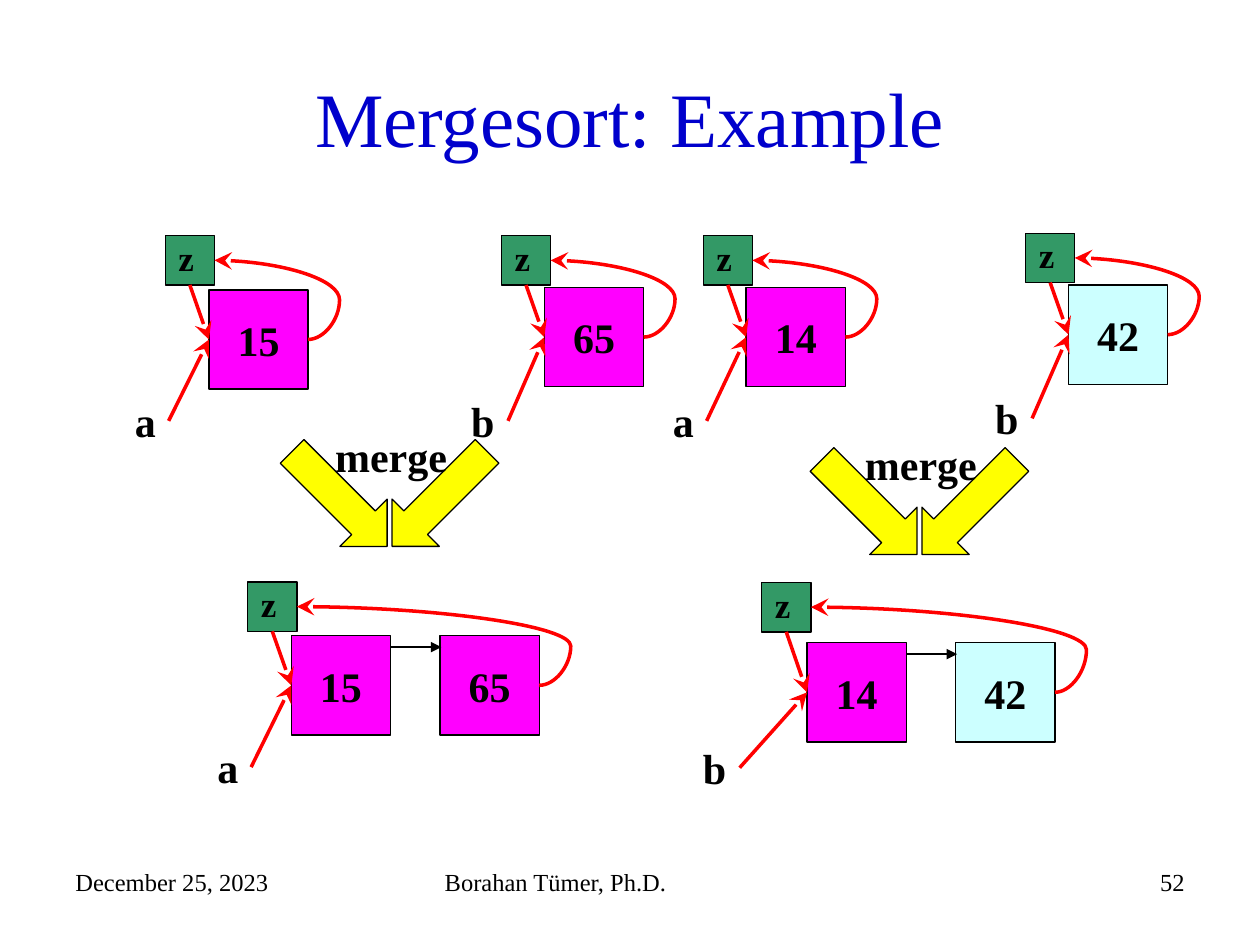
import pptx
import pptx.dml.color
import pptx.enum.shapes
import pptx.enum.text
import pptx.oxml
import pptx.oxml.ns
import pptx.util

Pt = pptx.util.Pt
RGBColor = pptx.dml.color.RGBColor
ALIGN = pptx.enum.text.PP_ALIGN
ANCHOR = pptx.enum.text.MSO_ANCHOR
SHAPE = pptx.enum.shapes.MSO_SHAPE
CONNECTOR = pptx.enum.shapes.MSO_CONNECTOR

BLACK = RGBColor(0x00, 0x00, 0x00)
BLUE = RGBColor(0x00, 0x00, 0xCC)
GREEN = RGBColor(0x33, 0x99, 0x66)
MAGENTA = RGBColor(0xFF, 0x00, 0xFF)
CYAN = RGBColor(0xCC, 0xFF, 0xFF)
YELLOW = RGBColor(0xFF, 0xFF, 0x00)
RED = RGBColor(0xFF, 0x00, 0x00)

FONT = "Times New Roman"
TOP, LEFT, BOTTOM, RIGHT = range(4)
SENTINEL_SIZE = 28.2
NODE_SIZE = 56.7
NODE_PITCH = 85
LOOP_REACH = 18


def write(shape, text, size, color=BLACK, bold=False, align=ALIGN.LEFT):
    paragraph = shape.text_frame.paragraphs[0]
    paragraph.text = text
    paragraph.alignment = align
    font = paragraph.font
    font.name, font.size, font.bold = FONT, Pt(size), bold
    font.color.rgb = color


def add_text(slide, left, top, width, height, text, size=24, bold=True,
             align=ALIGN.LEFT, wrap=False):
    box = slide.shapes.add_textbox(Pt(left), Pt(top), Pt(width), Pt(height))
    box.text_frame.word_wrap = wrap
    write(box, text, size, bold=bold, align=align)
    return box


def add_filled_shape(slide, kind, left, top, width, height, fill):
    shape = slide.shapes.add_shape(kind, Pt(left), Pt(top), Pt(width), Pt(height))
    shape.shadow.inherit = False
    shape.fill.solid()
    shape.fill.fore_color.rgb = fill
    shape.line.color.rgb = BLACK
    shape.line.width = Pt(0.75)
    return shape


def add_box(slide, left, top, side, fill, text, size):
    box = add_filled_shape(slide, SHAPE.RECTANGLE, left, top, side, side, fill)
    box.text_frame.word_wrap = False
    box.text_frame.vertical_anchor = ANCHOR.MIDDLE
    write(box, text, size, bold=True, align=ALIGN.CENTER)
    return box


def add_arrow(slide, start, end, kind=CONNECTOR.STRAIGHT, color=RED, width=2,
              head="stealth", head_size="lg"):
    arrow = slide.shapes.add_connector(kind, *start, *end)
    arrow.line.color.rgb = color
    arrow.line.width = Pt(width)
    tail = pptx.oxml.parse_xml(
        f'<a:tailEnd {pptx.oxml.ns.nsdecls("a")} type="{head}" '
        f'w="{head_size}" len="{head_size}"/>')
    arrow.line._get_or_add_ln().append(tail)
    properties = arrow._element.spPr
    properties.append(
        pptx.oxml.parse_xml(f'<a:effectLst {pptx.oxml.ns.nsdecls("a")}/>'))
    return arrow


def side_middle(shape, side):
    if side == BOTTOM:
        return shape.left + shape.width // 2, shape.top + shape.height
    x = shape.left + (shape.width if side == RIGHT else 0)
    return x, shape.top + shape.height // 2


def add_pointer(slide, source, source_side, target):
    """Join a side of source to the left side of target."""
    arrow = add_arrow(slide, side_middle(source, source_side),
                      side_middle(target, LEFT))
    arrow.begin_connect(source, source_side)
    arrow.end_connect(target, LEFT)


def add_loop(slide, node, sentinel):
    """Curve from the last node back to the sentinel, bulging to the right."""
    arrow = add_arrow(slide, side_middle(node, RIGHT),
                      side_middle(sentinel, RIGHT), CONNECTOR.CURVE)
    bulge = round(-Pt(LOOP_REACH) / arrow.width * 100000)
    geometry = arrow._element.spPr.find(pptx.oxml.ns.qn("a:prstGeom"))
    adjustments = geometry.get_or_add_avLst()
    adjustments.append(pptx.oxml.parse_xml(
        f'<a:gd {pptx.oxml.ns.nsdecls("a")} name="adj1" fmla="val {bulge}"/>'))


def add_linked_list(slide, left, top, name, values, node_offset=(24.6, 29.6),
                    name_offset=-24.4):
    """Draw a list whose sentinel z has its corner at left, top."""
    sentinel = add_box(slide, left, top, SENTINEL_SIZE, GREEN, "z", 20)
    frame = sentinel.text_frame
    frame.margin_left, frame.margin_right = Pt(2.9), Pt(7.2)
    frame.margin_top, frame.margin_bottom = Pt(0), Pt(3.6)

    node_left, node_top = left + node_offset[0], top + node_offset[1]
    nodes = [add_box(slide, node_left + i * NODE_PITCH, node_top, NODE_SIZE,
                     fill, value, 24)
             for i, (value, fill) in enumerate(values)]
    for node, following in zip(nodes, nodes[1:]):
        y = node.top + Pt(6.5)
        add_arrow(slide, (node.left + node.width + Pt(0.5), y),
                  (following.left + Pt(0.7), y), color=BLACK, width=0.75,
                  head="triangle", head_size="med")

    label = add_text(slide, left + name_offset, top + 87.6,
                     26.4 if name == "a" else 28.2, 36.4, name)
    add_pointer(slide, sentinel, BOTTOM, nodes[0])
    add_pointer(slide, label, RIGHT, nodes[0])
    add_loop(slide, nodes[-1], sentinel)


def add_merge(slide, left, top):
    for offset, rotation in ((57.1, 45), (0, 315)):
        arrow = add_filled_shape(slide, SHAPE.DOWN_ARROW, left + offset, top,
                                 38.2, 76.8, YELLOW)
        arrow.rotation = rotation
        arrow.adjustments[0], arrow.adjustments[1] = 0.5, 0.5
    add_text(slide, left + 9.4, top - 4, 78.5, 36.4, "merge")


def add_title(slide, text):
    title = slide.shapes.title
    title.left, title.top, title.width, title.height = map(Pt, (36, 21.6, 648, 90))
    title.text_frame.vertical_anchor = ANCHOR.MIDDLE
    write(title, text, 44, BLUE, align=ALIGN.CENTER)


def add_footer(slide):
    for left, width, text, align in (
            (36, 168, "December 25, 2023", ALIGN.LEFT),
            (247, 228, "Borahan Tümer, Ph.D.", ALIGN.LEFT),
            (516, 168, "52", ALIGN.RIGHT)):
        add_text(slide, left, 492, width, 37.5, text, 14, False, align, True)


def main():
    presentation = pptx.Presentation()
    presentation.slide_width, presentation.slide_height = Pt(720), Pt(540)
    slide = presentation.slides.add_slide(presentation.slide_layouts[5])
    add_title(slide, "Mergesort: Example")
    add_footer(slide)

    add_linked_list(slide, 94.4, 134.7, "a", [("15", MAGENTA)], (25, 31))
    add_linked_list(slide, 286.5, 134.7, "b", [("65", MAGENTA)])
    add_linked_list(slide, 401.8, 134.7, "a", [("14", MAGENTA)])
    add_linked_list(slide, 586, 133.3, "b", [("42", CYAN)])
    add_linked_list(slide, 141.5, 332.6, "a",
                    [("15", MAGENTA), ("65", MAGENTA)], (25, 30.7))
    add_linked_list(slide, 435.2, 332.9, "b",
                    [("14", MAGENTA), ("42", CYAN)], (26, 34.4), -40.7)

    add_merge(slide, 175, 246.7)
    add_merge(slide, 477.8, 251.3)
    presentation.save("out.pptx")


if __name__ == "__main__":
    main()
